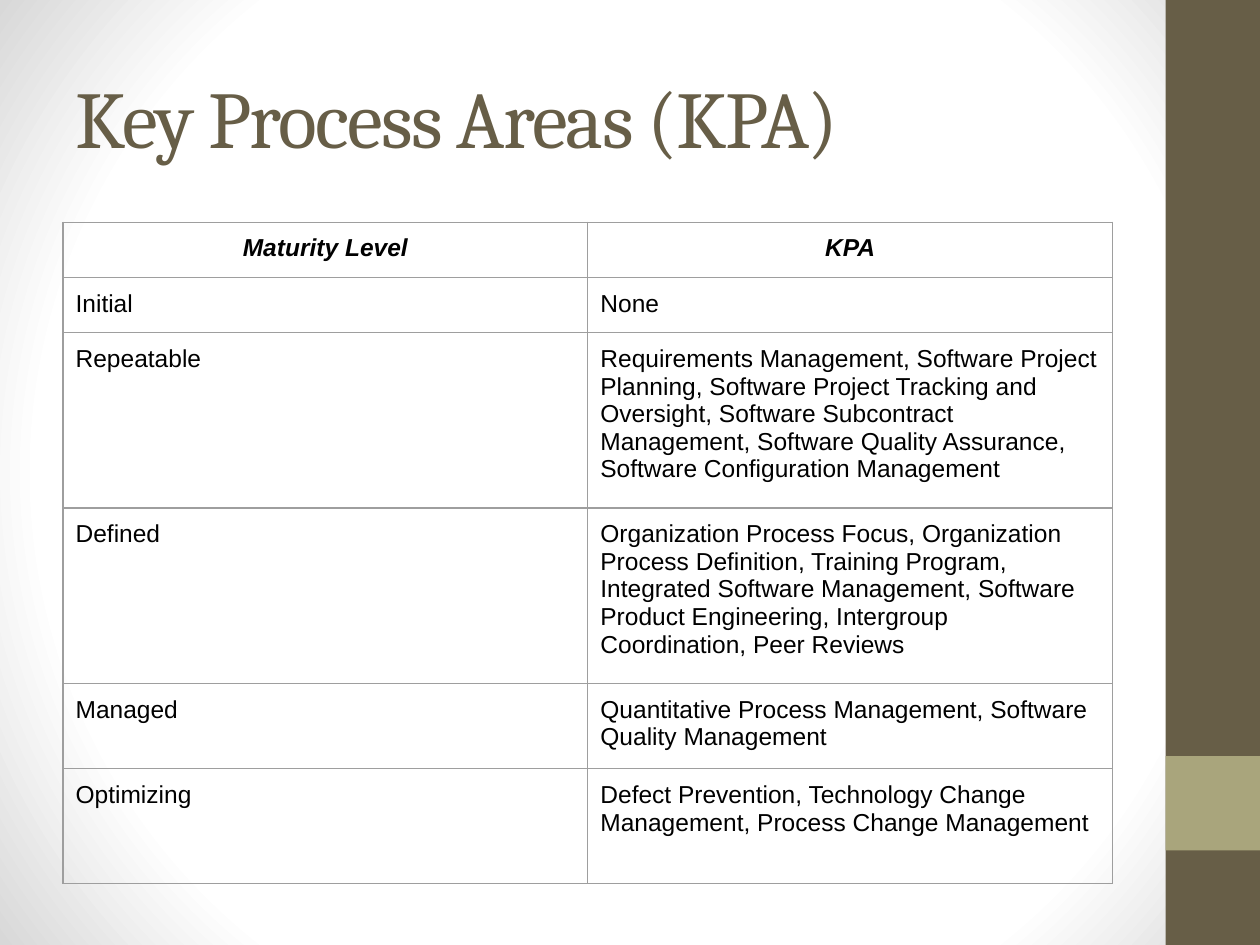
from lxml import etree
from pptx import Presentation
from pptx import util as u
from pptx.dml.color import RGBColor
from pptx.enum import shapes, text
from pptx.oxml import parse_xml
from pptx.oxml.ns import nsdecls, qn

BROWN = RGBColor(0x67, 0x5E, 0x47)
OLIVE = RGBColor(0xA9, 0xA5, 0x7C)
BLACK = RGBColor(0, 0, 0)
WHITE = RGBColor(255, 255, 255)
SILVER = RGBColor(0xD8, 0xD8, 0xD8)
GREY = RGBColor(0x9E, 0x9E, 0x9E)

W, H = u.Inches(10), u.Inches(7.5)
INSET = u.Inches(0.1)
ROW_SHARES = (0.44, 0.44, 1.39, 1.39, 0.68, 0.91)
ROWS = [
    ("Maturity Level", "KPA"),
    ("Initial", "None"),
    ("Repeatable", "Requirements Management, Software Project Planning, "
     "Software Project Tracking and Oversight, Software Subcontract Management, "
     "Software Quality Assurance, Software Configuration Management"),
    ("Defined", "Organization Process Focus, Organization Process Definition, "
     "Training Program, Integrated Software Management, "
     "Software Product Engineering, Intergroup Coordination, Peer Reviews"),
    ("Managed", "Quantitative Process Management, Software Quality Management"),
    ("Optimizing", "Defect Prevention, Technology Change Management, "
     "Process Change Management"),
]


def box(left, top, width, height):
    return int(W * left), int(H * top), int(W * width), int(H * height)


def set_insets(obj):
    obj.margin_left = obj.margin_right = INSET
    obj.margin_top = obj.margin_bottom = INSET


def add_run(p, words, font, size, color):
    r = p.add_run()
    r.text = words
    r.font.name = font
    r.font.size = u.Pt(size)
    r.font.color.rgb = color
    return r


def paint_background(s):
    fill = s.background.fill
    fill.gradient()
    grad = s.element.find(".//" + qn("a:gradFill"))
    stops = "".join(
        f'<a:gs pos="{pos * 1000}"><a:srgbClr val="{color}"/></a:gs>'
        for pos, color in ((0, WHITE), (75, WHITE), (100, SILVER)))
    for child in list(grad):
        grad.remove(child)
    grad.append(parse_xml(f'<a:gsLst {nsdecls("a")}>{stops}</a:gsLst>'))
    grad.append(parse_xml(
        f'<a:path {nsdecls("a")} path="circle">'
        '<a:fillToRect l="50000" t="50000" r="50000" b="50000"/></a:path>'))


def add_side_band(s, area):
    left, top, width, height = area
    for offset, share, color in ((0, 1, BROWN), (0.8, 0.1, OLIVE)):
        sp = s.shapes.add_shape(
            shapes.MSO_SHAPE.RECTANGLE, left, top + int(height * offset),
            width, int(height * share))
        sp.shadow.inherit = False
        sp.fill.solid()
        sp.fill.fore_color.rgb = color
        sp.line.fill.background()


def add_title(s, area, words):
    sp = s.shapes.title
    sp.left, sp.top, sp.width, sp.height = area
    tf = sp.text_frame
    tf.word_wrap = True
    tf.auto_size = text.MSO_AUTO_SIZE.NONE
    tf.vertical_anchor = text.MSO_ANCHOR.MIDDLE
    set_insets(tf)
    p = tf.paragraphs[0]
    p.alignment = text.PP_ALIGN.LEFT
    r = add_run(p, words, "Cambria", 46, BROWN)
    r.font._element.set("spc", "-100")


def add_borders(cell):
    props = cell._tc.get_or_add_tcPr()
    for i, side in enumerate(("lnL", "lnR", "lnT", "lnB")):
        ln = etree.Element(qn(f"a:{side}"), w=str(u.Pt(0.75)))
        fill = etree.SubElement(ln, qn("a:solidFill"))
        etree.SubElement(fill, qn("a:srgbClr"), val=str(GREY))
        props.insert(i, ln)


def fill_cell(cell, words, is_header):
    set_insets(cell)
    cell.vertical_anchor = text.MSO_ANCHOR.TOP
    cell.fill.background()
    add_borders(cell)
    p = cell.text_frame.paragraphs[0]
    p.alignment = text.PP_ALIGN.CENTER if is_header else text.PP_ALIGN.LEFT
    r = add_run(p, words, "Arial", 14, BLACK)
    r.font.bold = r.font.italic = is_header


def add_kpa_table(s, area):
    width, height = area[2:]
    table = s.shapes.add_table(len(ROWS), len(ROWS[0]), *area).table
    table.first_row = table.horz_banding = False
    for column in table.columns:
        column.width = width // len(ROWS[0])
    for i, (row, share) in enumerate(zip(ROWS, ROW_SHARES)):
        table.rows[i].height = int(height * share / sum(ROW_SHARES))
        for j, words in enumerate(row):
            fill_cell(table.cell(i, j), words, i == 0)


def main():
    prs = Presentation()
    prs.slide_width, prs.slide_height = W, H
    s = prs.slides.add_slide(prs.slide_layouts[5])
    paint_background(s)
    add_side_band(s, box(0.925, 0, 0.075, 1))
    add_title(s, box(0.05, 0.04, 0.833, 0.167), "Key Process Areas (KPA)")
    add_kpa_table(s, box(0.05, 0.235, 0.833, 0.7))
    prs.save("out.pptx")


if __name__ == "__main__":
    main()
